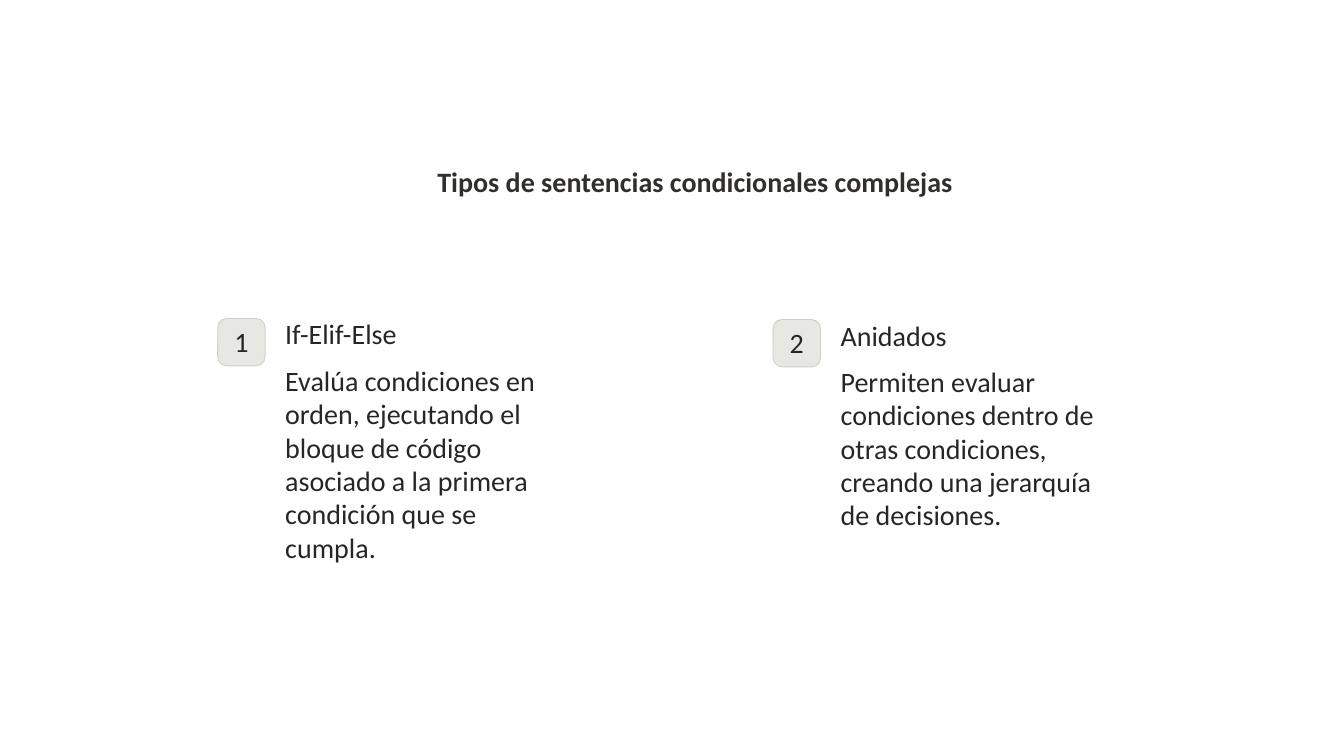
from dataclasses import dataclass

from pptx import Presentation
from pptx.dml.color import RGBColor
from pptx.enum.shapes import MSO_SHAPE
from pptx.enum.text import MSO_ANCHOR, PP_ALIGN
from pptx.util import Inches, Length, Pt

COLS, ROWS = 160, 90
BADGE = 5.64
TEXT_INDENT = 8.04
BODY_DROP = 5.4
INK = "272525"

prs = Presentation()
prs.slide_width, prs.slide_height = Inches(13.33), Inches(7.5)


@dataclass
class Card:
    col: float
    row: float
    number: str
    heading: str
    body: str


CARDS = [
    Card(25.92, 37.92, "1", "If-Elif-Else",
         "Evalúa condiciones en orden, ejecutando el bloque de código "
         "asociado a la primera condición que se cumpla."),
    Card(92.04, 38.04, "2", "Anidados",
         "Permiten evaluar condiciones dentro de otras condiciones, "
         "creando una jerarquía de decisiones."),
]


def color(value: str) -> RGBColor:
    return RGBColor.from_string(value)


def area(col: float, row: float, width: float, height: float) -> tuple[Length, ...]:
    x, y = prs.slide_width / COLS, prs.slide_height / ROWS
    return Length(col * x), Length(row * y), Length(width * x), Length(height * y)


def write(sp, text: str, *, spacing: float, fill: str = INK, bold: bool = False,
          align=PP_ALIGN.LEFT, anchor=MSO_ANCHOR.TOP, wrap: bool = True) -> None:
    tf = sp.text_frame
    tf.margin_left = tf.margin_top = tf.margin_right = tf.margin_bottom = 0
    tf.word_wrap = wrap
    tf.vertical_anchor = anchor
    p = tf.paragraphs[0]
    p.alignment = align
    p.line_spacing = Pt(spacing)
    r = p.add_run()
    r.text = text
    r.font.name = "Calibri"
    r.font.size = Pt(20)
    r.font.bold = bold
    r.font.color.rgb = color(fill)


def draw_card(s, card: Card) -> None:
    sp = s.shapes.add_shape(MSO_SHAPE.ROUNDED_RECTANGLE,
                            *area(card.col, card.row, BADGE, BADGE))
    sp.adjustments[0] = 0.19
    sp.shadow.inherit = False
    sp.fill.solid()
    sp.fill.fore_color.rgb = color("E8E8E3")
    sp.line.color.rgb = color("CECEC9")
    sp.line.width = Pt(0.6)
    write(sp, card.number, spacing=22.1, align=PP_ALIGN.CENTER,
          anchor=MSO_ANCHOR.MIDDLE, wrap=False)

    left = card.col + TEXT_INDENT
    heading = s.shapes.add_textbox(*area(left, card.row, 30.96, 3.84))
    write(heading, card.heading, spacing=22.9, wrap=False)
    body = s.shapes.add_textbox(*area(left, card.row + BODY_DROP, 32.04, 15.84))
    write(body, card.body, spacing=23.8)


def main() -> None:
    s = prs.slides.add_slide(prs.slide_layouts[6])
    s.background.fill.solid()
    s.background.fill.fore_color.rgb = color("FFFFFF")
    title = s.shapes.add_textbox(*area(22.44, 15.84, 120.6, 15.48))
    write(title, "Tipos de sentencias condicionales complejas", spacing=46.2,
          fill="312F2B", bold=True, align=PP_ALIGN.CENTER)
    for card in CARDS:
        draw_card(s, card)
    prs.save("out.pptx")


if __name__ == "__main__":
    main()
